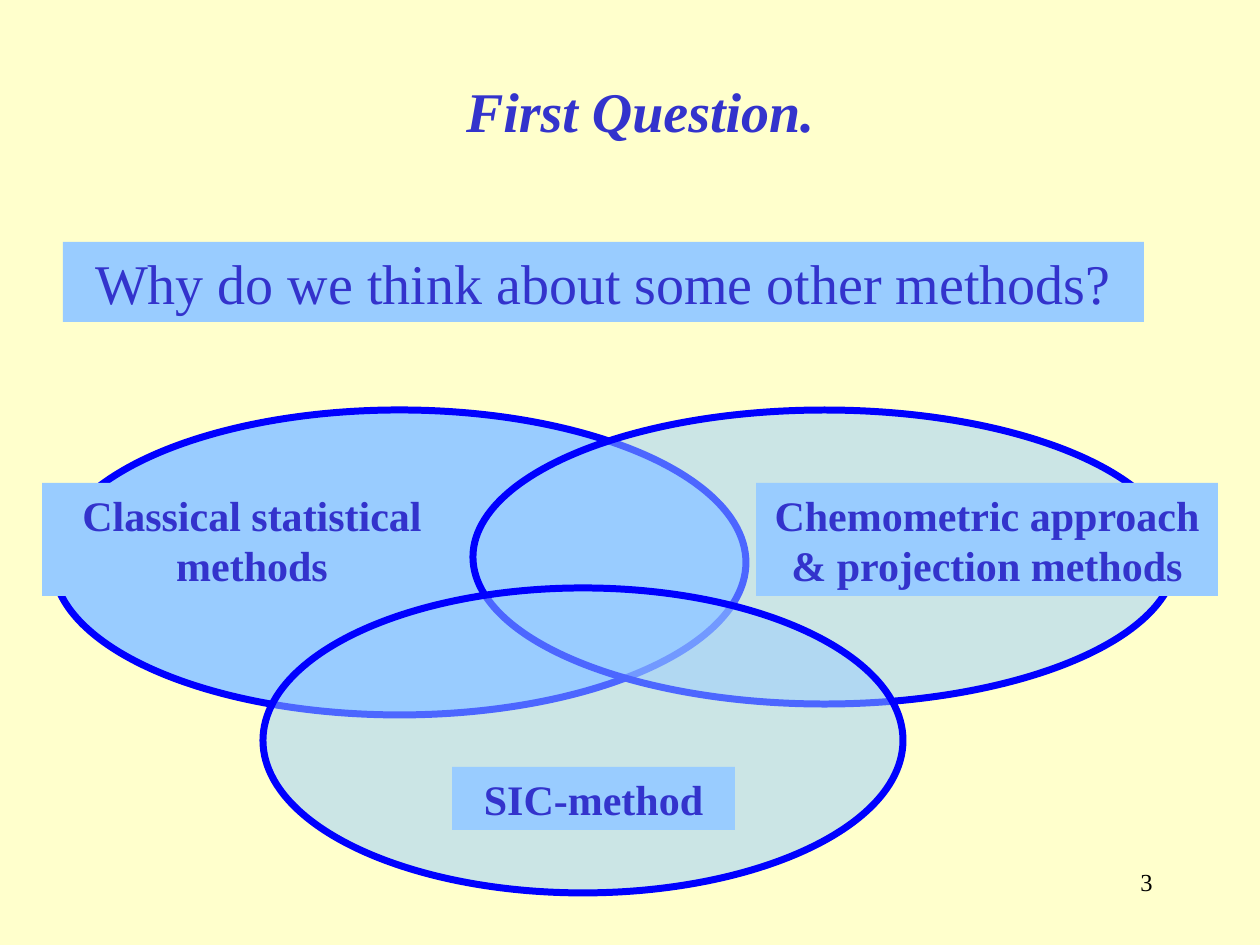
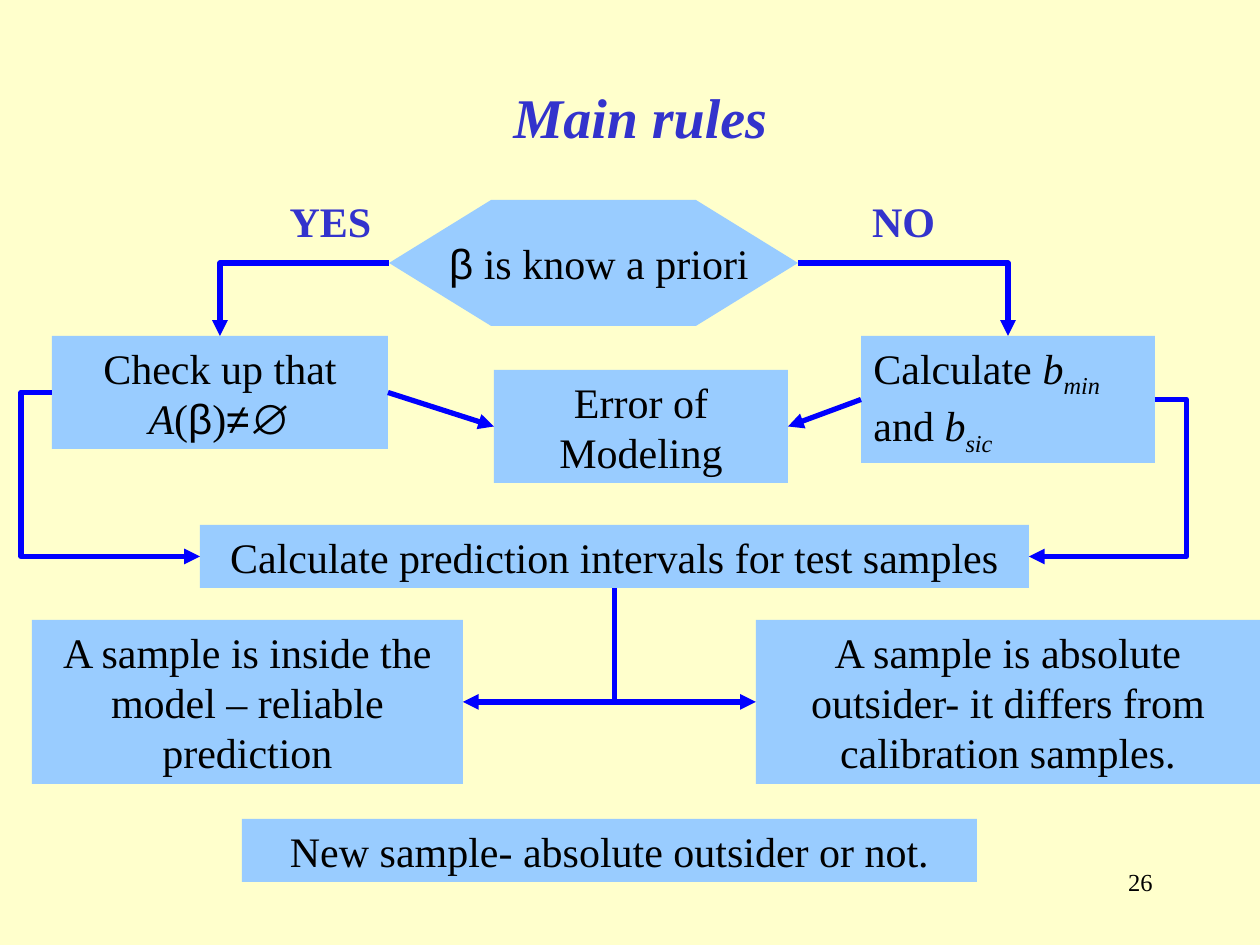
import dataclasses
import enum
import typing

import pptx
import pptx.dml.color
import pptx.enum.dml
import pptx.enum.shapes
import pptx.enum.text
import pptx.oxml
import pptx.oxml.ns
import pptx.util

EMU_PER_PX = 914400 / 126
SHAPES = pptx.enum.shapes.MSO_SHAPE
ALIGN = pptx.enum.text.PP_ALIGN
ANCHOR = pptx.enum.text.MSO_ANCHOR


@dataclasses.dataclass(frozen=True)
class Theme:
    background: str = "FFFFCC"
    panel: str = "99CCFF"
    accent: str = "3333CC"
    outline: str = "0000FF"
    ink: str = "000000"
    serif: str = "Times New Roman"
    sans: str = "Arial"
    heading_size: int = 32
    body_size: int = 24
    number_size: int = 14
    ellipse_line: int = 4
    arrow_line: int = 3


THEME = Theme()


class Area(typing.NamedTuple):
    left: int
    top: int
    width: int
    height: int


class Span(typing.NamedTuple):
    text: str
    italic: bool = False
    font: str = THEME.serif
    subscript: bool = False


@dataclasses.dataclass(frozen=True)
class Style:
    size: int = THEME.body_size
    color: str = THEME.ink
    bold: bool = False
    italic: bool = False
    align: ALIGN = ALIGN.CENTER
    anchor: ANCHOR = ANCHOR.TOP


TITLE = Style(THEME.heading_size, THEME.accent, True, True, anchor=ANCHOR.MIDDLE)
QUESTION = Style(THEME.heading_size, THEME.accent)
LABEL = Style(color=THEME.accent, bold=True)
BODY = Style()
BODY_LEFT = Style(align=ALIGN.LEFT)
NUMBER = Style(THEME.number_size, align=ALIGN.RIGHT)
NUMBER_AREA = Area(903, 861, 262, 63)


class Side(enum.IntEnum):
    TOP = 0
    LEFT = 1
    BOTTOM = 2
    RIGHT = 3


SIDE_POINTS = {Side.TOP: (0.5, 0), Side.LEFT: (0, 0.5),
               Side.BOTTOM: (0.5, 1), Side.RIGHT: (1, 0.5)}
HEXAGON_SITES = {Side.LEFT: 3, Side.RIGHT: 0}


class VennSet(typing.NamedTuple):
    ellipse: Area
    label_area: Area
    label: str
    opacity: int


class Box(typing.NamedTuple):
    area: Area
    spans: list[Span]
    style: Style = BODY


class Arrow(typing.NamedTuple):
    start: str
    start_side: Side
    end: str
    end_side: Side
    preset: str = "bentConnector2"
    bend: float | None = None
    arrow_at: str = "tailEnd"


def px(length: float) -> pptx.util.Emu:
    return pptx.util.Emu(round(length * EMU_PER_PX))


def rgb(color: str) -> pptx.dml.color.RGBColor:
    return pptx.dml.color.RGBColor.from_string(color)


# Text and shapes
def write(box, spans: list[Span], style: Style) -> None:
    frame = box.text_frame
    frame.word_wrap = True
    frame.vertical_anchor = style.anchor
    para = frame.paragraphs[0]
    para.alignment = style.align
    for part in spans:
        span = para.add_run()
        span.text = part.text
        formats = {"name": part.font, "size": pptx.util.Pt(style.size),
                   "bold": style.bold, "italic": style.italic or part.italic}
        for name, value in formats.items():
            setattr(span.font, name, value)
        span.font.color.rgb = rgb(style.color)
        if part.subscript:
            span._r.get_or_add_rPr().set("baseline", "-25000")


def add_text(page, area: Area, spans: list[Span], style: Style) -> None:
    write(page.shapes.add_textbox(*map(px, area)), spans, style)


def add_panel(page, area: Area, kind: SHAPES = SHAPES.RECTANGLE):
    panel = page.shapes.add_shape(kind, *map(px, area))
    panel.shadow.inherit = False
    panel.fill.solid()
    panel.fill.fore_color.rgb = rgb(THEME.panel)
    panel.line.fill.background()
    return panel


def add_box(page, box: Box):
    panel = add_panel(page, box.area)
    write(panel, box.spans, box.style)
    return panel


def add_ellipse(page, area: Area, opacity: int) -> None:
    ellipse = add_panel(page, area, SHAPES.OVAL)
    ellipse.line.color.rgb = rgb(THEME.outline)
    ellipse.line.width = pptx.util.Pt(THEME.ellipse_line)
    if opacity < 100:
        color = ellipse._element.spPr.find(".//" + pptx.oxml.ns.qn("a:srgbClr"))
        add_xml(color, "alpha", val=opacity * 1000)


def add_xml(parent, tag: str, **attributes):
    child = parent.makeelement(pptx.oxml.ns.qn("a:" + tag), {})
    for name, value in attributes.items():
        child.set(name, str(value))
    parent.append(child)
    return child


# Connectors glued to the sides of shapes
def side_point(shape, side: Side) -> tuple[int, int]:
    across, down = SIDE_POINTS[side]
    return (round(shape.left + across * shape.width),
            round(shape.top + down * shape.height))


def site(shape, side: Side) -> int:
    is_hexagon = shape.auto_shape_type == SHAPES.HEXAGON
    return HEXAGON_SITES[side] if is_hexagon else int(side)


def add_arrow(page, shapes: dict, arrow: Arrow) -> None:
    start, end = shapes[arrow.start], shapes[arrow.end]
    begin_x, begin_y = side_point(start, arrow.start_side)
    end_x, end_y = side_point(end, arrow.end_side)
    line = page.shapes.add_connector(
        pptx.enum.shapes.MSO_CONNECTOR.ELBOW, begin_x, begin_y, end_x, end_y)
    line.begin_connect(start, site(start, arrow.start_side))
    line.end_connect(end, site(end, arrow.end_side))
    ends = {"begin_x": begin_x, "begin_y": begin_y, "end_x": end_x, "end_y": end_y}
    for name, value in ends.items():
        setattr(line, name, value)
    line.line.color.rgb = rgb(THEME.outline)
    line.line.width = pptx.util.Pt(THEME.arrow_line)
    properties = line._element.spPr
    geometry = properties.find(pptx.oxml.ns.qn("a:prstGeom"))
    geometry.set("prst", arrow.preset)
    if arrow.bend is not None:
        guides = geometry.find(pptx.oxml.ns.qn("a:avLst"))
        if guides is None:
            guides = add_xml(geometry, "avLst")
        add_xml(guides, "gd", name="adj1", fmla=f"val {round(arrow.bend * 100000)}")
    add_xml(properties.find(pptx.oxml.ns.qn("a:ln")), arrow.arrow_at, type="triangle")
    add_xml(properties, "effectLst")


# Shared page furniture
def add_page(deck, title: str, title_area: Area, number: int):
    page = deck.slides.add_slide(deck.slide_layouts[6])
    page.background.fill.solid()
    page.background.fill.fore_color.rgb = rgb(THEME.background)
    add_text(page, title_area, [Span(title)], TITLE)
    add_text(page, NUMBER_AREA, [Span(str(number))], NUMBER)
    return page


VENN_SETS = [
    VennSet(Area(53, 410, 693, 305), Area(42, 483, 420, 113),
            "Classical statistical methods", 100),
    VennSet(Area(473, 410, 703, 294), Area(756, 483, 462, 113),
            "Chemometric approach & projection methods", 50),
    VennSet(Area(263, 588, 640, 305), Area(452, 767, 283, 63), "SIC-method", 50),
]

RULE_BOXES = {
    "check": Box(Area(52, 336, 336, 113), [
        Span("Check up that "), Span("A", italic=True), Span("("),
        Span("β", font=THEME.sans), Span(")"), Span("≠∅", font=THEME.sans)]),
    "calculate": Box(Area(861, 336, 294, 127), [
        Span("Calculate "), Span("b", italic=True),
        Span("min ", italic=True, subscript=True), Span("and "),
        Span("b", italic=True), Span("sic", italic=True, subscript=True)], BODY_LEFT),
    "error": Box(Area(494, 370, 294, 113), [Span("Error of Modeling")]),
    "intervals": Box(Area(200, 525, 829, 63), [
        Span("Calculate prediction intervals for test samples")]),
    "inside": Box(Area(32, 620, 431, 164), [
        Span("A sample is inside the model – reliable prediction")]),
    "outsider": Box(Area(756, 620, 504, 164), [
        Span("A sample is absolute outsider- it differs from calibration samples.")]),
    "verdict": Box(Area(242, 819, 735, 63), [
        Span("New sample- absolute outsider or not.")]),
}

RULE_ARROWS = [
    Arrow("prior", Side.LEFT, "check", Side.TOP),
    Arrow("prior", Side.RIGHT, "calculate", Side.TOP),
    Arrow("check", Side.LEFT, "intervals", Side.LEFT, "bentConnector3", -0.21),
    Arrow("calculate", Side.RIGHT, "intervals", Side.RIGHT, "bentConnector3", -0.25),
    Arrow("check", Side.RIGHT, "error", Side.LEFT, "straightConnector1"),
    Arrow("calculate", Side.LEFT, "error", Side.RIGHT, "straightConnector1"),
    Arrow("inside", Side.RIGHT, "intervals", Side.BOTTOM, arrow_at="headEnd"),
    Arrow("outsider", Side.LEFT, "intervals", Side.BOTTOM, arrow_at="headEnd"),
]


def build_question(deck) -> None:
    page = add_page(deck, "First Question.", Area(105, 63, 1071, 95), 3)
    question = [Span("Why do we think about some other methods?")]
    add_box(page, Box(Area(63, 242, 1081, 80), question, QUESTION))
    for venn in VENN_SETS:
        add_ellipse(page, venn.ellipse, venn.opacity)
        add_box(page, Box(venn.label_area, [Span(venn.label)], LABEL))


def build_rules(deck) -> None:
    page = add_page(deck, "Main rules", Area(110, 74, 1061, 84), 26)
    prior = add_panel(page, Area(389, 200, 409, 126), SHAPES.HEXAGON)
    prior.adjustments[0] = 0.81
    add_text(page, Area(410, 231, 378, 63),
             [Span("β", font=THEME.sans), Span(" is know a priori")], BODY)
    add_text(page, Area(252, 189, 157, 63), [Span("YES")], LABEL)
    add_text(page, Area(851, 189, 105, 63), [Span("NO")], LABEL)
    shapes = {name: add_box(page, box) for name, box in RULE_BOXES.items()}
    shapes["prior"] = prior
    for arrow in RULE_ARROWS:
        add_arrow(page, shapes, arrow)


def main() -> None:
    deck = pptx.Presentation()
    deck.slide_width, deck.slide_height = px(1260), px(945)
    build_question(deck)
    build_rules(deck)
    deck.save("out.pptx")


if __name__ == "__main__":
    main()
